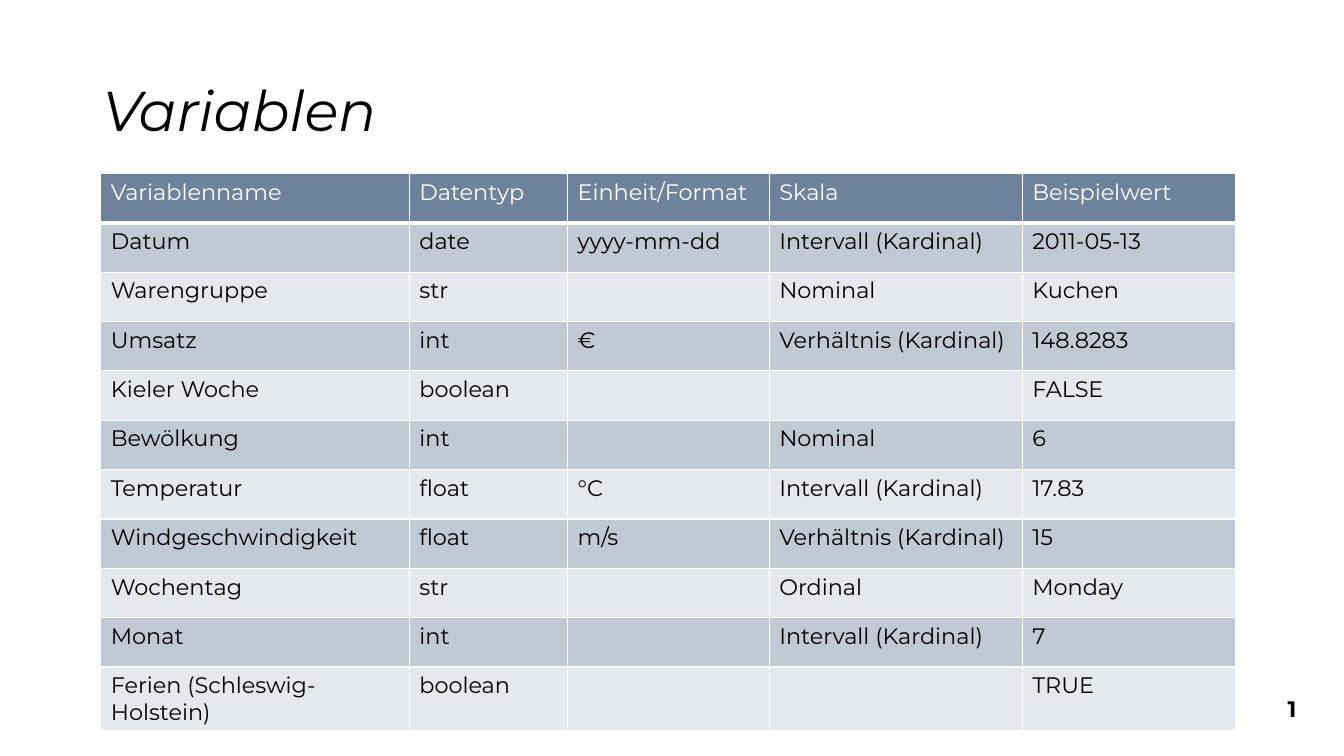
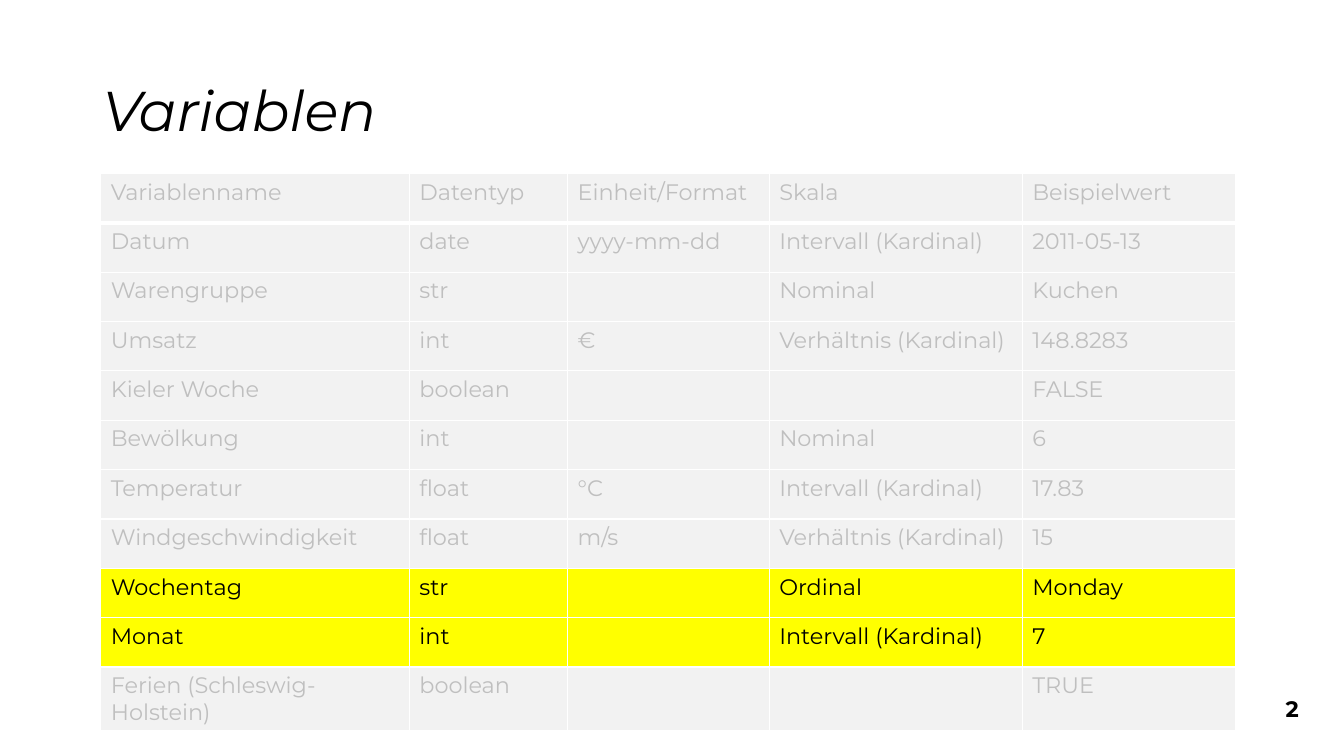
from lxml import etree
from pptx import Presentation
from pptx.dml.color import RGBColor
from pptx.enum.text import MSO_ANCHOR, PP_ALIGN
from pptx.oxml.ns import qn
from pptx.util import Inches, Pt

MIDDLE = MSO_ANCHOR.MIDDLE
LEFT, CENTER = PP_ALIGN.LEFT, PP_ALIGN.CENTER

BLACK = RGBColor(0x00, 0x00, 0x00)
WHITE = RGBColor(0xFF, 0xFF, 0xFF)
NAVY = RGBColor(0x06, 0x28, 0x54)
PALE_GRAY = RGBColor(0xF2, 0xF2, 0xF2)
TEXT_GRAY = RGBColor(0xBF, 0xBF, 0xBF)
YELLOW = RGBColor(0xFF, 0xFF, 0x00)

FONT = "Montserrat"
TITLE_FORMAT = {"name": FONT, "size": Pt(40), "italic": True}
NUMBER_FORMAT = {"name": FONT, "size": Pt(16), "bold": True}
CELL_FORMAT = {"name": FONT, "size": Pt(16), "bold": False}

# Row styles: fill colour, opacity in percent, text colour
HEADER = (NAVY, 58, WHITE)
DARK_BAND = (NAVY, 25, BLACK)
LIGHT_BAND = (NAVY, 10, BLACK)
MUTED = (PALE_GRAY, 100, TEXT_GRAY)
HIGHLIGHT = (YELLOW, 100, BLACK)

COLUMN_WIDTHS = (3.06, 1.57, 2, 2.51, 2.12)
ROW_HEIGHT = 0.49
VARIABLES = (
    ("Variablenname", "Datentyp", "Einheit/Format", "Skala", "Beispielwert"),
    ("Datum", "date", "yyyy-mm-dd", "Intervall (Kardinal)", "2011-05-13"),
    ("Warengruppe", "str", "", "Nominal", "Kuchen"),
    ("Umsatz", "int", "€", "Verhältnis (Kardinal)", "148.8283"),
    ("Kieler Woche", "boolean", "", "", "FALSE"),
    ("Bewölkung", "int", "", "Nominal", "6"),
    ("Temperatur", "float", "°C", "Intervall (Kardinal)", "17.83"),
    ("Windgeschwindigkeit", "float", "m/s", "Verhältnis (Kardinal)", "15"),
    ("Wochentag", "str", "", "Ordinal", "Monday"),
    ("Monat", "int", "", "Intervall (Kardinal)", "7"),
    ("Ferien (Schleswig-Holstein)", "boolean", "", "", "TRUE"),
)
HIGHLIGHTED_NAMES = ("Wochentag", "Monat")


def write_text(paragraph, text, text_format, color):
    """Add one formatted run to a paragraph."""
    run = paragraph.add_run()
    run.text = text
    for attribute, value in text_format.items():
        setattr(run.font, attribute, value)
    run.font.color.rgb = color


def add_label(slide, text, box, text_format, alignment=LEFT, line_spacing=1.0):
    """Add a vertically centred text box."""
    shape = slide.shapes.add_textbox(*(Inches(value) for value in box))
    shape.text_frame.word_wrap = True
    shape.text_frame.vertical_anchor = MIDDLE
    paragraph = shape.text_frame.paragraphs[0]
    paragraph.alignment = alignment
    paragraph.line_spacing = line_spacing
    write_text(paragraph, text, text_format, BLACK)


def fill_cell(cell, color, opacity):
    """Fill a cell with a colour of the given opacity."""
    cell.fill.solid()
    cell.fill.fore_color.rgb = color
    if opacity < 100:
        color_element = next(cell._tc.tcPr.iter(qn("a:srgbClr")))
        etree.SubElement(color_element, qn("a:alpha"), val=str(opacity * 1000))


def set_borders(cell, top, bottom):
    """Draw white cell borders, one point wide at the sides."""
    properties = cell._tc.get_or_add_tcPr()
    widths = {"a:lnL": 1, "a:lnR": 1, "a:lnT": top, "a:lnB": bottom}
    for position, (tag, width) in enumerate(widths.items()):
        line = etree.Element(qn(tag), w=str(Pt(width)))
        fill = etree.SubElement(line, qn("a:solidFill"))
        etree.SubElement(fill, qn("a:srgbClr"), val=str(WHITE))
        properties.insert(position, line)


def banded_style(row_index):
    """Return the style of a row in the plain banded table."""
    if row_index == 0:
        return HEADER
    return DARK_BAND if row_index % 2 else LIGHT_BAND


def focus_style(row_index):
    """Return the style of a row when only some variables stand out."""
    return HIGHLIGHT if VARIABLES[row_index][0] in HIGHLIGHTED_NAMES else MUTED


def add_variable_table(slide, row_style):
    """Add the table of variables, styled row by row."""
    table = slide.shapes.add_table(
        len(VARIABLES), len(COLUMN_WIDTHS), Inches(1), Inches(1.72),
        Inches(sum(COLUMN_WIDTHS)), Inches(ROW_HEIGHT * len(VARIABLES))).table
    table.horz_banding = False
    for column, width in zip(table.columns, COLUMN_WIDTHS):
        column.width = Inches(width)
    for row_index, values in enumerate(VARIABLES):
        table.rows[row_index].height = Inches(ROW_HEIGHT)
        fill_color, opacity, text_color = row_style(row_index)
        for column_index, value in enumerate(values):
            cell = table.cell(row_index, column_index)
            fill_cell(cell, fill_color, opacity)
            set_borders(cell, top=3 if row_index == 1 else 1,
                        bottom=3 if row_index == 0 else 1)
            if value:
                write_text(cell.text_frame.paragraphs[0], value,
                           CELL_FORMAT, text_color)


def add_variable_slide(presentation, number, row_style):
    """Add a slide with title, table of variables and slide number."""
    slide = presentation.slides.add_slide(presentation.slide_layouts[6])
    add_label(slide, "Variablen", (0.92, 0.4, 11.5, 1.45), TITLE_FORMAT,
              line_spacing=0.9)
    add_variable_table(slide, row_style)
    add_label(slide, str(number), (12.57, 6.74, 0.49, 0.57), NUMBER_FORMAT,
              alignment=CENTER)


def main():
    """Build and save the presentation."""
    presentation = Presentation()
    presentation.slide_width = Inches(13.33)
    presentation.slide_height = Inches(7.5)
    for number, row_style in enumerate((banded_style, focus_style), start=1):
        add_variable_slide(presentation, number, row_style)
    presentation.save("out.pptx")


main()
